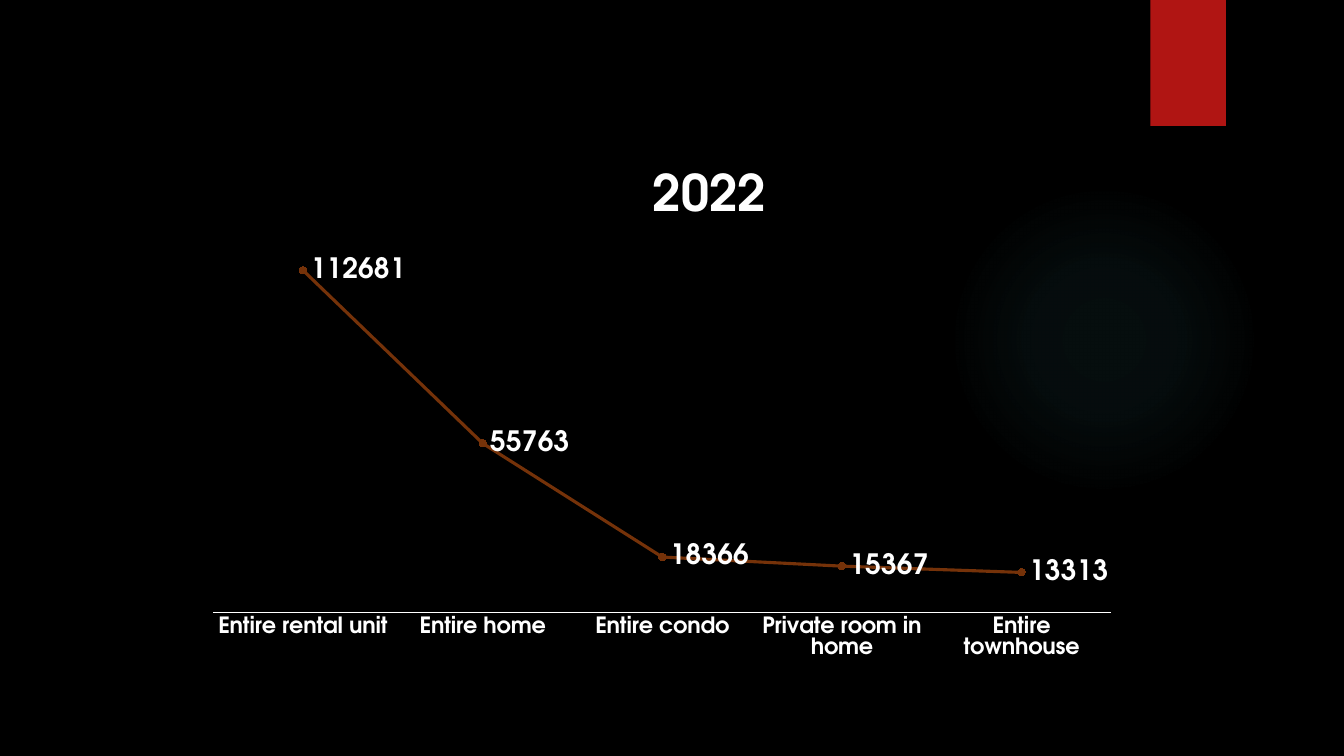
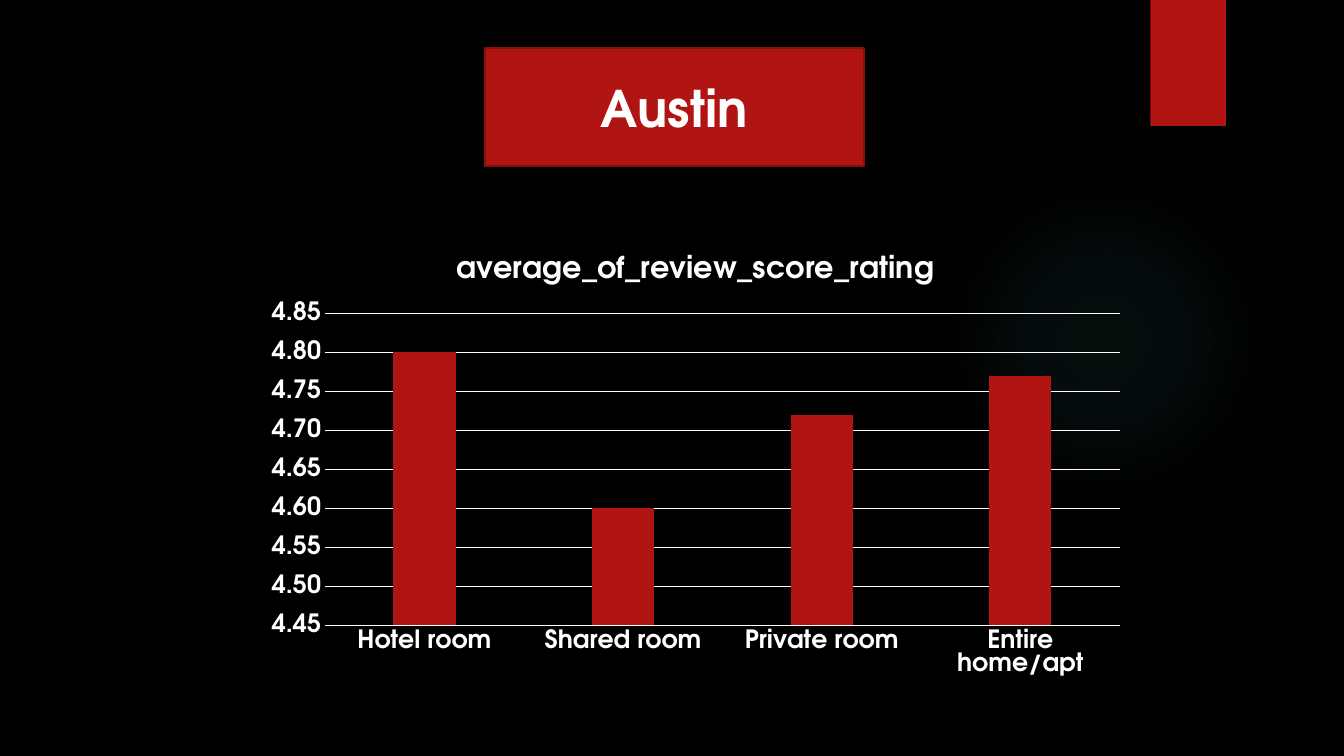
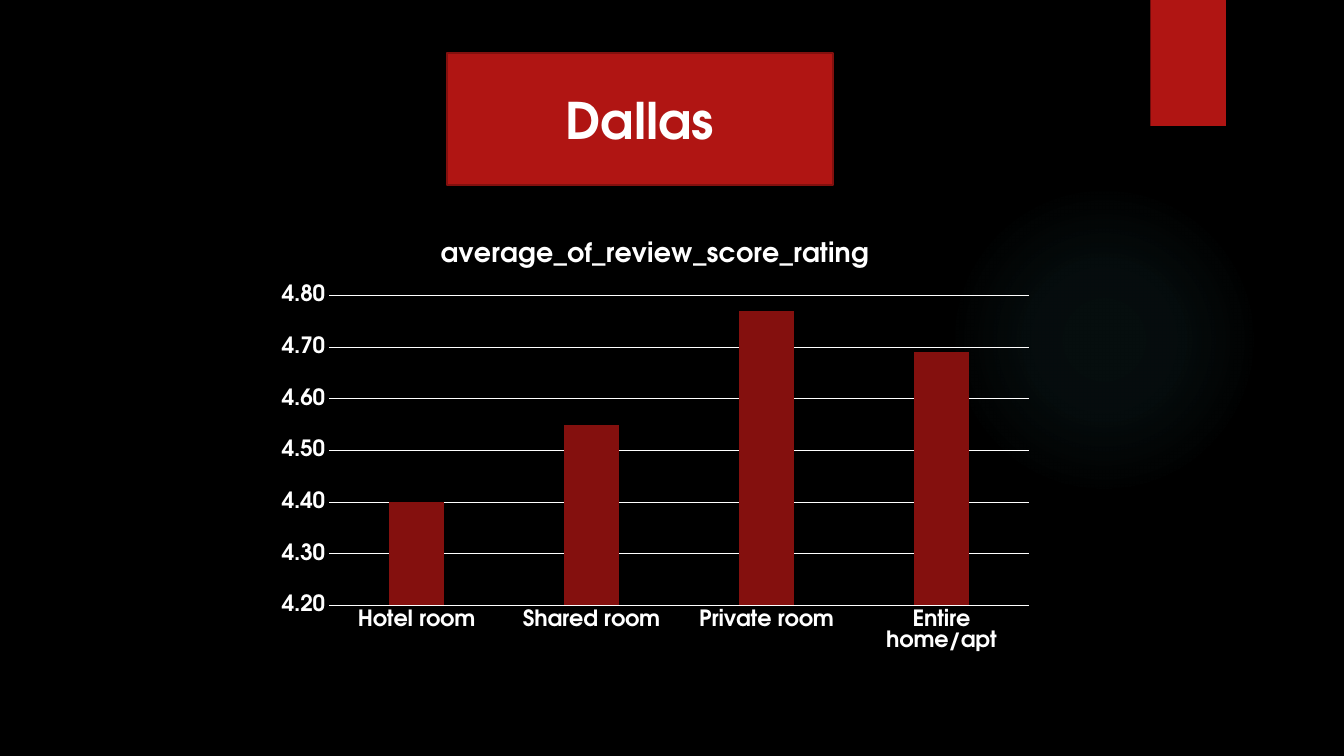
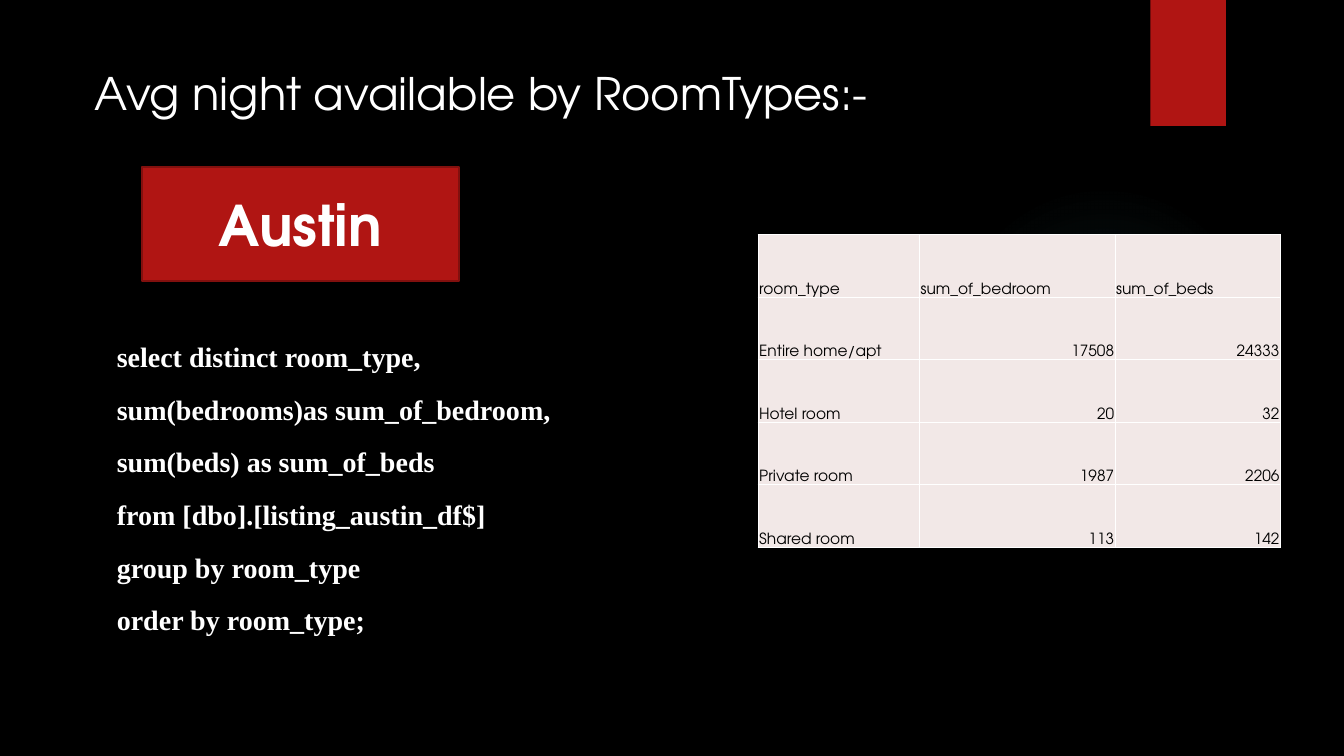
from dataclasses import dataclass
from typing import Optional

from lxml.etree import SubElement
from pptx import Presentation
from pptx.chart.chart import Chart
from pptx.chart.data import CategoryChartData
from pptx.dml.color import RGBColor
from pptx.enum.chart import (
    XL_CHART_TYPE as ChartType, XL_LABEL_POSITION as LabelPos,
    XL_MARKER_STYLE as Marker, XL_TICK_MARK as Tick)
from pptx.enum.shapes import MSO_SHAPE as Preset
from pptx.enum.text import MSO_ANCHOR as Anchor, PP_ALIGN as Align
from pptx.oxml import parse_xml
from pptx.oxml.ns import nsdecls, qn
from pptx.shapes.autoshape import Shape
from pptx.slide import Slide
from pptx.text.text import Font
from pptx.util import Emu, Pt

PX = 9144  # EMU per px, 100 px to the inch
SANS, SERIF = "TeX Gyre Adventor", "Times New Roman"
COLORS = {
    "background": "000000", "text": "FFFFFF", "accent": "B01513",
    "badge_edge": "82100E", "dark_bar": "84100E", "glow": "50B9C1",
    "trend": "753209", "marker": "EA6312", "cell": "F2E8E7", "cell_text": "000000",
}
ROOM_TYPES = ("Hotel room", "Shared room", "Private room", "Entire home/apt")
GLOW_STOPS = ((0, 7), (36, 6), (69, 0))  # position and opacity, percent


@dataclass(frozen=True)
class Box:
    left: int
    top: int
    width: int
    height: int

    def emu(self) -> tuple[Emu, ...]:
        return tuple(Emu(v * PX) for v in (self.left, self.top, self.width, self.height))


@dataclass(frozen=True)
class Badge:
    city: str
    box: Box
    size: int = 36


@dataclass(frozen=True)
class RatingChart:
    box: Box
    scores: tuple[float, ...]
    color: str
    size: int
    title_size: float
    low: float
    high: float
    step: float


def rgb(name: str) -> RGBColor:
    return RGBColor.from_string(COLORS[name])


def style_font(font: Font, size: float, bold: bool = True,
               color: str = "text", face: str = SANS) -> None:
    font.name, font.size, font.bold = face, Pt(size), bold
    font.color.rgb = rgb(color)


# Shared slide parts
def add_block(slide: Slide, preset: Preset, box: Box, fill: str) -> Shape:
    shape = slide.shapes.add_shape(preset, *box.emu())
    shape.shadow.inherit = False
    shape.fill.solid()
    shape.fill.fore_color.rgb = rgb(fill)
    shape.line.fill.background()
    return shape


def add_glow(slide: Slide) -> None:
    glow = add_block(slide, Preset.OVAL, Box(941, 183, 308, 308), "glow")
    stops = "".join(
        f'<a:gs pos="{pos * 1000}"><a:srgbClr val="{COLORS["glow"]}">'
        f'<a:alpha val="{alpha * 1000}"/></a:srgbClr></a:gs>'
        for pos, alpha in GLOW_STOPS)
    gradient = parse_xml(
        f'<a:gradFill {nsdecls("a")} rotWithShape="1"><a:gsLst>{stops}</a:gsLst>'
        '<a:path path="circle"><a:fillToRect l="50000" t="50000" r="50000" b="50000"/>'
        '</a:path></a:gradFill>')
    props = glow.element.spPr
    props.replace(props.find(qn("a:solidFill")), gradient)


def new_slide(prs: Presentation) -> Slide:
    slide = prs.slides.add_slide(prs.slide_layouts[6])
    slide.background.fill.solid()
    slide.background.fill.fore_color.rgb = rgb("background")
    add_glow(slide)
    add_block(slide, Preset.RECTANGLE, Box(1141, 0, 75, 125), "accent")
    return slide


def add_badge(slide: Slide, badge: Badge) -> None:
    shape = add_block(slide, Preset.RECTANGLE, badge.box, "accent")
    shape.line.color.rgb = rgb("badge_edge")
    shape.line.width = Pt(1.5)
    frame = shape.text_frame
    frame.vertical_anchor = Anchor.MIDDLE
    paragraph = frame.paragraphs[0]
    paragraph.alignment = Align.CENTER
    run = paragraph.add_run()
    run.text = badge.city
    style_font(run.font, badge.size)


def add_lines(slide: Slide, box: Box, lines: tuple[str, ...], size: int, bold: bool,
              face: str, spacing: Optional[float] = None, after: int = 0) -> None:
    frame = slide.shapes.add_textbox(*box.emu()).text_frame
    frame.word_wrap = True
    for i, line in enumerate(lines):
        paragraph = frame.add_paragraph() if i else frame.paragraphs[0]
        paragraph.line_spacing = spacing
        paragraph.space_after = Pt(after)
        run = paragraph.add_run()
        run.text = line
        style_font(run.font, size, bold, face=face)


# Charts
def add_chart(slide: Slide, kind: ChartType, box: Box, categories: tuple[str, ...],
              series: str, values: tuple[float, ...], title: str,
              size: int, title_size: float) -> Chart:
    data = CategoryChartData()
    data.categories = categories
    data.add_series(series, values)
    chart = slide.shapes.add_chart(kind, *box.emu(), data).chart
    style_font(chart.font, size)
    chart.has_legend = False
    chart.has_title = True
    run = chart.chart_title.text_frame.paragraphs[0].add_run()
    run.text = title
    style_font(run.font, title_size)
    chart.plots[0].vary_by_categories = False
    axis = chart.category_axis
    axis.major_tick_mark = axis.minor_tick_mark = Tick.NONE
    axis.format.line.color.rgb = rgb("text")
    axis.format.line.width = Pt(0.75)
    style_font(axis.tick_labels.font, size)
    return chart


def place_part(part, index: int, **layout: float) -> None:
    """Gives a chart part a fixed place, in fractions of the chart."""
    for old in part.findall(qn("c:layout")):
        part.remove(old)
    holder = parse_xml(f'<c:layout {nsdecls("c")}><c:manualLayout/></c:layout>')
    manual = holder[0]
    if "w" in layout:
        SubElement(manual, qn("c:layoutTarget"), val="inner")
    for axis in "xy":
        SubElement(manual, qn(f"c:{axis}Mode"), val="edge")
    for key, value in layout.items():
        SubElement(manual, qn(f"c:{key}"), val=str(value))
    part.insert(index, holder)


def add_listing_chart(slide: Slide) -> None:
    chart = add_chart(
        slide, ChartType.LINE_MARKERS, Box(193, 148, 928, 517),
        ("Entire rental unit", "Entire home", "Entire condo",
         "Private room in home", "Entire townhouse"),
        "Series 1", (112681, 55763, 18366, 15367, 13313), "2022", 16, 36)
    place_part(chart.chart_title.element, 1, x=0.48, y=0.02)
    place_part(chart.element.find(".//" + qn("c:plotArea")), 0,
               x=0.02, y=0.19, w=0.96, h=0.7)
    axis = chart.value_axis
    axis.visible = axis.has_major_gridlines = False
    axis.minimum_scale, axis.maximum_scale = 0, 120000
    trend = chart.plots[0].series[0]
    trend.smooth = False
    trend.format.line.color.rgb = rgb("trend")
    trend.format.line.width = Pt(2.25)
    trend.marker.style, trend.marker.size = Marker.CIRCLE, 5
    trend.marker.format.fill.solid()
    trend.marker.format.fill.fore_color.rgb = rgb("marker")
    trend.marker.format.line.color.rgb = rgb("trend")
    labels = trend.data_labels
    labels.show_value = True
    labels.position = LabelPos.RIGHT
    style_font(labels.font, 20)


def add_rating_chart(slide: Slide, rating: RatingChart) -> None:
    name = "average_of_review_score_rating"
    chart = add_chart(slide, ChartType.COLUMN_CLUSTERED, rating.box, ROOM_TYPES,
                      name, rating.scores, name, rating.size, rating.title_size)
    plot = chart.plots[0]
    plot.gap_width, plot.overlap = 219, -27
    bars = plot.series[0].format.fill
    bars.solid()
    bars.fore_color.rgb = rgb(rating.color)
    axis = chart.value_axis
    axis.minimum_scale, axis.maximum_scale = rating.low, rating.high
    axis.major_unit = rating.step
    axis.major_tick_mark = axis.minor_tick_mark = Tick.NONE
    axis.format.line.fill.background()
    grid = axis.major_gridlines.format.line
    grid.color.rgb = rgb("text")
    grid.width = Pt(0.75)
    axis.tick_labels.number_format = "0.00"
    axis.tick_labels.number_format_is_linked = False
    style_font(axis.tick_labels.font, rating.size)


# Table
def add_bed_table(slide: Slide) -> None:
    rows = (
        ("room_type", "sum_of_bedroom", "sum_of_beds"),
        ("Entire home/apt", "17508", "24333"),
        ("Hotel room", "20", "32"),
        ("Private room", "1987", "2206"),
        ("Shared room", "113", "142"),
    )
    widths, row_height = (160, 194, 164), 62
    box = Box(752, 233, sum(widths), row_height * len(rows))
    table = slide.shapes.add_table(len(rows), len(widths), *box.emu()).table
    table.first_row = table.horz_banding = False
    for column, width in zip(table.columns, widths):
        column.width = Emu(width * PX)
    for r, row in enumerate(rows):
        for c, value in enumerate(row):
            cell = table.cell(r, c)
            cell.fill.solid()
            cell.fill.fore_color.rgb = rgb("cell")
            cell.vertical_anchor = Anchor.BOTTOM
            cell.margin_left = cell.margin_right = cell.margin_top = Emu(PX)
            cell.margin_bottom = 0
            paragraph = cell.text_frame.paragraphs[0]
            paragraph.alignment = Align.RIGHT if r and c else Align.LEFT
            run = paragraph.add_run()
            run.text = value
            style_font(run.font, 11, False, "cell_text")
            props = cell.text_frame._txBody.getparent().get_or_add_tcPr()
            for i, side in enumerate("LRTB"):
                props.insert(i, parse_xml(
                    f'<a:ln{side} {nsdecls("a")} w="{Pt(1)}"><a:solidFill>'
                    f'<a:srgbClr val="{COLORS["text"]}"/></a:solidFill></a:ln{side}>'))


def main() -> None:
    prs = Presentation()
    prs.slide_width, prs.slide_height = Emu(1333 * PX), Emu(750 * PX)

    # Listings in 2022
    add_listing_chart(new_slide(prs))

    # Review scores in Austin
    austin = new_slide(prs)
    add_rating_chart(austin, RatingChart(
        Box(252, 231, 876, 448), (4.8, 4.6, 4.72, 4.77), "accent",
        18, 21.6, 4.45, 4.85, 0.05))
    add_badge(austin, Badge("Austin", Box(481, 48, 376, 117)))

    # Review scores in Dallas
    dallas = new_slide(prs)
    add_badge(dallas, Badge("Dallas", Box(443, 53, 383, 131)))
    add_rating_chart(dallas, RatingChart(
        Box(264, 219, 772, 436), (4.4, 4.55, 4.77, 4.69), "dark_bar",
        16, 19.2, 4.2, 4.8, 0.1))

    # Beds by room type
    beds = new_slide(prs)
    add_lines(beds, Box(84, 60, 885, 64), ("Avg night available by RoomTypes:-",),
              32, False, SANS)
    add_lines(beds, Box(106, 327, 499, 361), (
        "select distinct room_type,",
        "sum(bedrooms)as sum_of_bedroom,",
        "sum(beds) as sum_of_beds",
        "from [dbo].[listing_austin_df$]",
        "group by room_type",
        "order by room_type;",
    ), 20, True, SERIF, spacing=1.15, after=10)
    add_bed_table(beds)
    add_badge(beds, Badge("Austin", Box(141, 166, 314, 113), 40))

    prs.save("out.pptx")


if __name__ == "__main__":
    main()
